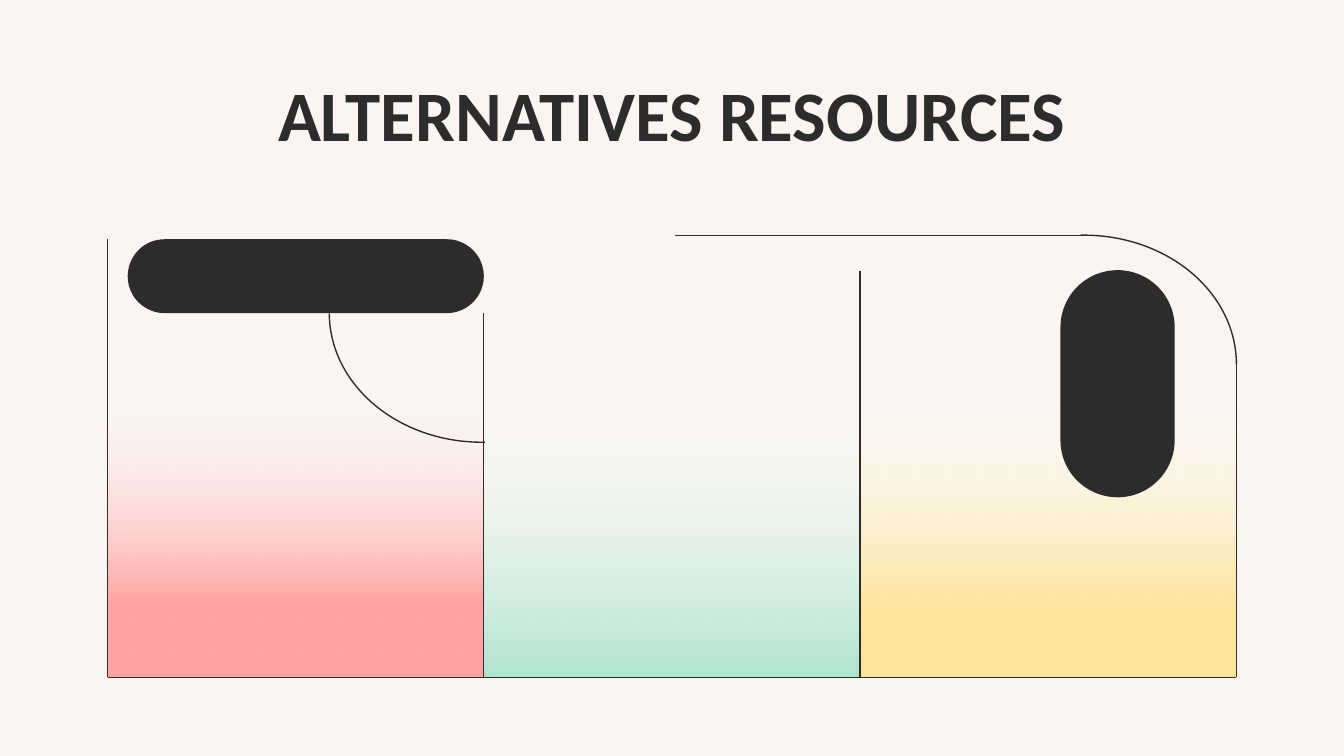
from dataclasses import dataclass

from lxml import etree
from pptx import Presentation
from pptx.dml.color import RGBColor
from pptx.enum.shapes import MSO_CONNECTOR, MSO_SHAPE
from pptx.enum.text import MSO_ANCHOR, PP_ALIGN
from pptx.oxml import parse_xml
from pptx.oxml.ns import nsdecls, qn
from pptx.util import Inches, Pt

RECTANGLE, PILL, ARC = MSO_SHAPE.RECTANGLE, MSO_SHAPE.ROUNDED_RECTANGLE, MSO_SHAPE.ARC
STRAIGHT = MSO_CONNECTOR.STRAIGHT
MIDDLE, CENTER = MSO_ANCHOR.MIDDLE, PP_ALIGN.CENTER


@dataclass(frozen=True)
class Theme:
    background: str = "FAF5F2"
    ink: str = "2C2C2C"
    fade: str = "FFFFFF"
    font: str = "Calibri"
    title_size: float = 38
    line_width: float = 0.75


THEME = Theme()

# Content: heading, and per column its colour and the share kept solid
HEADING = "ALTERNATIVES RESOURCES"
COLUMNS = [("FFA4A1", 24), ("B0E4CE", 0), ("FFE49E", 24)]

# Grid: three equal columns standing on one baseline of a 16:9 slide
WIDTH = 10
HEIGHT = WIDTH * 9 / 16
LEFT, COLUMN_WIDTH = 0.8, 2.8
BASELINE, PANEL_HEIGHT = 5.04, 2.23
EDGES = [LEFT + i * COLUMN_WIDTH for i in range(len(COLUMNS) + 1)]
DIVIDER_TOPS = [1.78, 2.33, 2.02, 2.7]
ROOF_START, ROOF_TOP = 5.02, 1.75
ARC_WIDTH, ARC_HEIGHT = 2.27, 1.92
ARC_SWEEP = (161.16, 215.98)  # top centre to right middle

# Left, top, width, height and rotation
PILLS = [(0.95, 1.78, 2.65, 0.55, 0), (7.47, 2.43, 1.69, 0.85, 270)]
# Left, top and rotation: the frame's corner, and the curve under the wide pill
ARCS = [(EDGES[3] - ARC_WIDTH, ROOF_TOP, 0), (2.45, 1.37, 180)]
# The roof, the baseline, then the column edges
LINES = [
    (EDGES[3] - ARC_WIDTH / 2, ROOF_TOP, ROOF_START, ROOF_TOP),
    (EDGES[0], BASELINE, EDGES[3], BASELINE),
    *((x, top, x, BASELINE) for x, top in zip(EDGES, DIVIDER_TOPS)),
]

deck = Presentation()
deck.slide_width, deck.slide_height = Inches(WIDTH), Inches(HEIGHT)
slide = deck.slides.add_slide(deck.slide_layouts[6])
slide.background.fill.solid()
slide.background.fill.fore_color.rgb = RGBColor.from_string(THEME.background)


def add_shape(kind, *frame):
    shape = slide.shapes.add_shape(kind, *map(Inches, frame))
    shape.shadow.inherit = False
    shape.line.fill.background()
    return shape


def draw_line(line):
    line.color.rgb = RGBColor.from_string(THEME.ink)
    line.width = Pt(THEME.line_width)


def fade_upwards(shape, colour, solid_share):
    """Colour at the bottom, fully transparent at the top."""
    shape.fill.gradient()
    default = shape.element.spPr.find(qn("a:gradFill"))
    stops = "".join(
        f'<a:gs pos="{share * 1000}"><a:srgbClr val="{colour}"/></a:gs>'
        for share in sorted({0, solid_share})
    )
    default.getparent().replace(default, parse_xml(
        f'<a:gradFill {nsdecls("a")} rotWithShape="1"><a:gsLst>{stops}'
        f'<a:gs pos="100000"><a:srgbClr val="{THEME.fade}"><a:alpha val="0"/>'
        '</a:srgbClr></a:gs></a:gsLst><a:lin ang="16200000" scaled="0"/></a:gradFill>'
    ))


# Heading
heading = slide.shapes.add_textbox(*map(Inches, (LEFT, 0.53, WIDTH - 2 * LEFT, 0.63)))
frame = heading.text_frame
frame.word_wrap = True
frame.vertical_anchor = MIDDLE
frame.margin_left = frame.margin_right = frame.margin_top = frame.margin_bottom = Inches(0.1)
frame.text = HEADING
paragraph = frame.paragraphs[0]
paragraph.alignment = CENTER
font = paragraph.runs[0].font
font.name, font.size, font.bold = THEME.font, Pt(THEME.title_size), True
font.color.rgb = RGBColor.from_string(THEME.ink)

# Fading columns
for left, (colour, solid_share) in zip(EDGES, COLUMNS):
    panel = add_shape(RECTANGLE, left, BASELINE - PANEL_HEIGHT, COLUMN_WIDTH, PANEL_HEIGHT)
    fade_upwards(panel, colour, solid_share)

# Dark pills
for *pill_frame, rotation in PILLS:
    pill = add_shape(PILL, *pill_frame)
    pill.adjustments[0] = 0.5
    pill.rotation = rotation
    pill.fill.solid()
    pill.fill.fore_color.rgb = RGBColor.from_string(THEME.ink)

# Curves
for left, top, rotation in ARCS:
    curve = add_shape(ARC, left, top, ARC_WIDTH, ARC_HEIGHT)
    curve.adjustments[0], curve.adjustments[1] = ARC_SWEEP
    curve.rotation = rotation
    curve.fill.background()
    draw_line(curve.line)

# Straight lines
for ends in LINES:
    rule = slide.shapes.add_connector(STRAIGHT, *map(Inches, ends))
    draw_line(rule.line)
    etree.SubElement(rule.element.spPr, qn("a:effectLst"))

deck.save("out.pptx")
